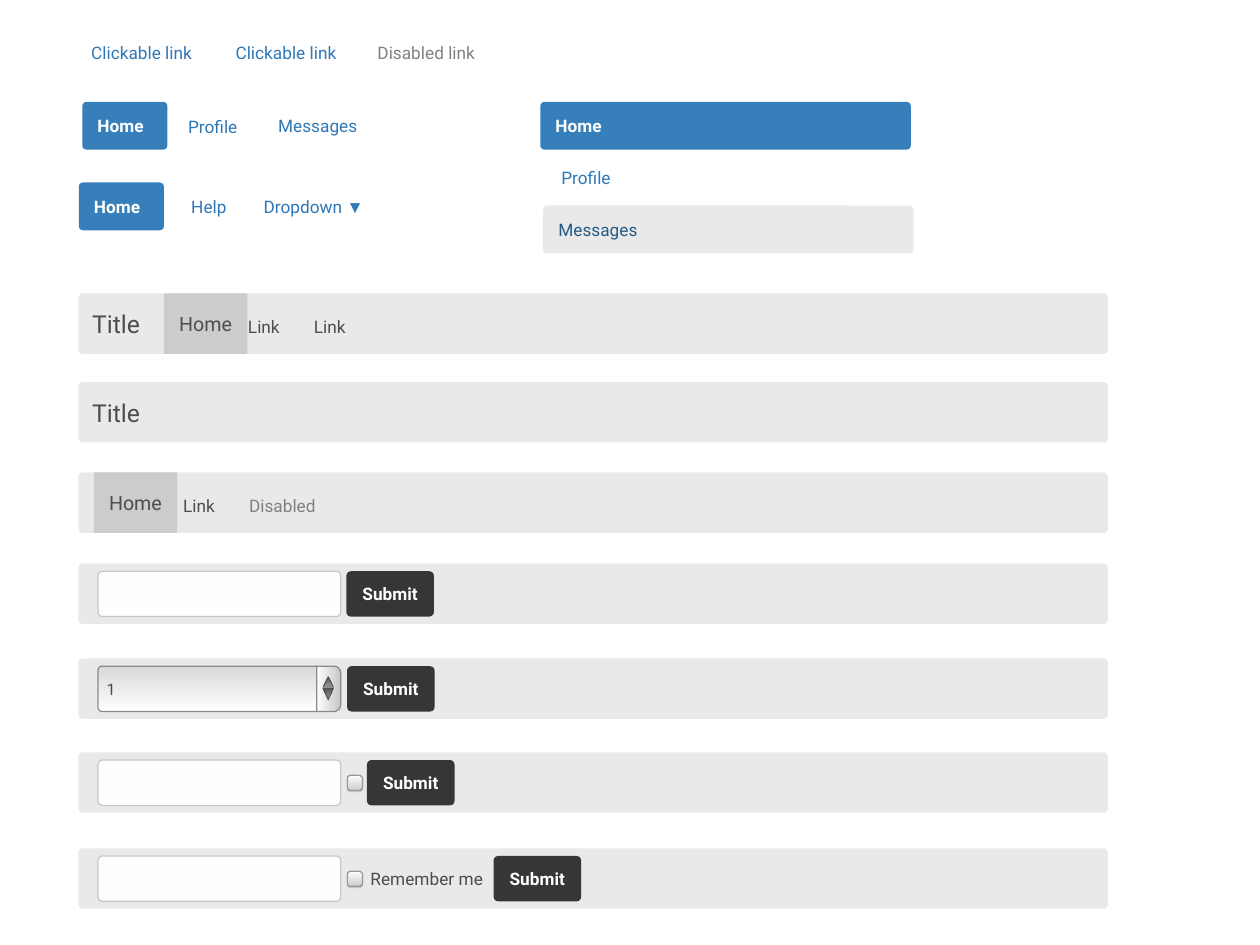
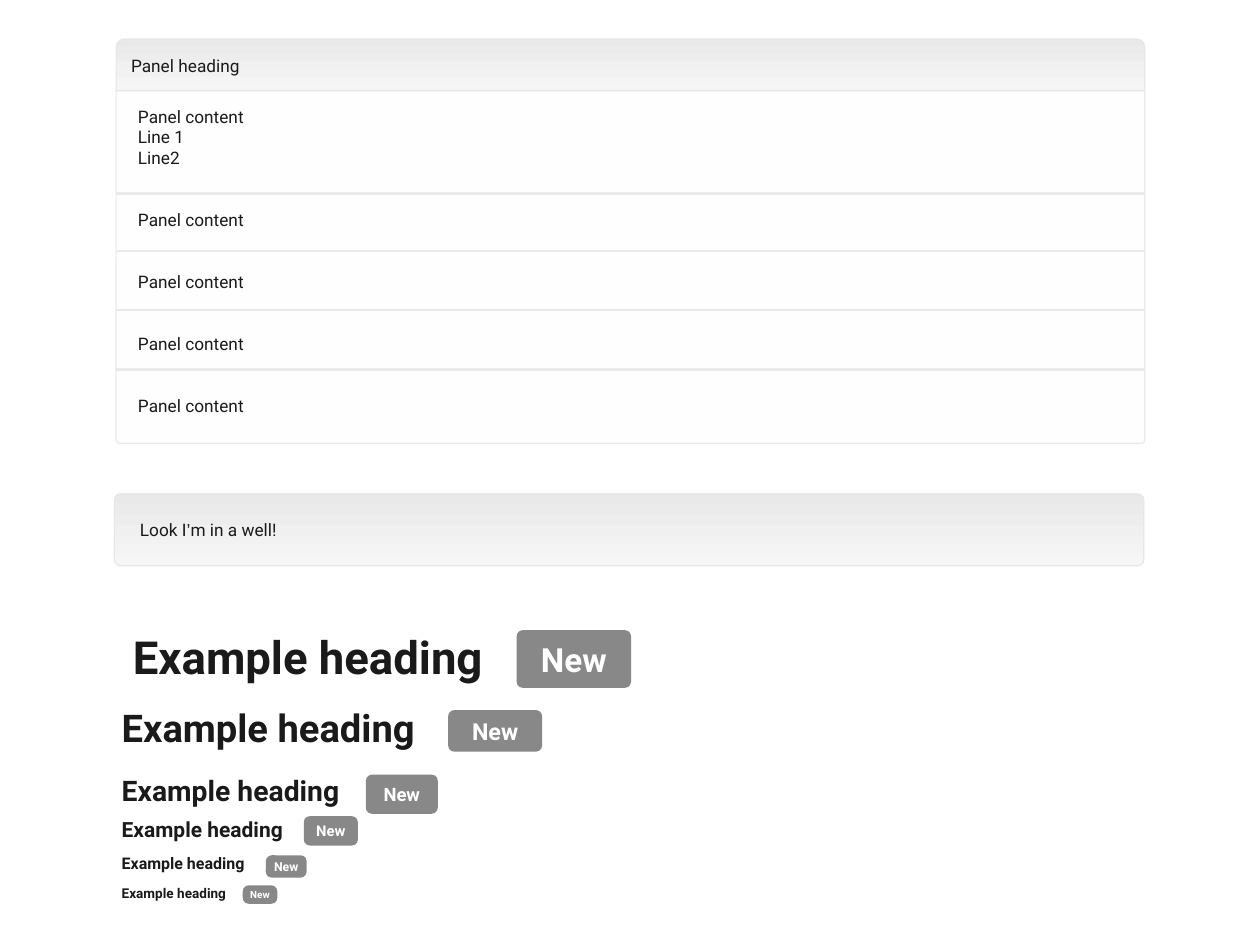
from itertools import groupby
from math import cos, pi, sin

from lxml import etree
from pptx import Presentation
from pptx.dml.color import RGBColor
from pptx.enum.shapes import MSO_CONNECTOR, MSO_SHAPE
from pptx.enum.text import MSO_ANCHOR, PP_ALIGN
from pptx.oxml.ns import qn
from pptx.util import Cm, Pt

ROUND, RECT = MSO_SHAPE.ROUNDED_RECTANGLE, MSO_SHAPE.RECTANGLE
TAB, ARROW = MSO_SHAPE.ROUND_2_SAME_RECTANGLE, MSO_SHAPE.ISOSCELES_TRIANGLE
LINE = MSO_CONNECTOR.STRAIGHT
LEFT, MID = PP_ALIGN.LEFT, PP_ALIGN.CENTER
TOP, CENTER = MSO_ANCHOR.TOP, MSO_ANCHOR.MIDDLE

WIDE, HIGH = 36.12, 27.08
FONT, SIGNS, SIGN_FONT = "Roboto", "▼’", "Arial"
BLUE, LINK, DEEP = "367FBA", "2E78B8", "255B86"
WHITE, PAPER, PALE, ACTIVE = "FFFFFF", "FFFEFE", "E9E9E9", "CCCCCC"
INK, TEXT, DIM, DARK, BADGE = "1A1A1A", "4D4D4D", "808080", "353636", "888888"
SOFT = (PALE, "F6F6F6")

LINKS = [
    ("Clickable link", 4.06, 1.51, LINK),
    ("Clickable link", 8.2, 1.51, LINK),
    ("Disabled link", 12.22, 1.51, DIM),
    ("Profile", 6.1, 3.64, LINK),
    ("Messages", 9.11, 3.59, LINK),
    ("Help", 5.99, 5.93, LINK),
    ("Dropdown ▼", 8.99, 5.91, LINK),
    ("Profile", 16.8, 5.09, LINK),
]
PILLS = [
    ("Home", 2.36, 2.92, 2.44, BLUE, WHITE, True),
    ("Home", 2.26, 5.23, 2.44, BLUE, WHITE, True),
    ("Home", 15.49, 2.92, 10.62, BLUE, WHITE, True),
    ("Messages", 15.57, 5.89, 10.62, PALE, DEEP, False),
]
BAR_X, BAR_W, BAR_H = 2.25, 29.51, 1.73
NAVS = [
    (8.41, "Title", 4.7, [("Link", 7.11, TEXT), ("Link", 9, TEXT)]),
    (10.95, "Title", None, []),
    (13.54, "", 2.69, [("Link", 5.25, TEXT), ("Disabled", 7.14, DIM)]),
]
FORMS = [
    (16.15, "input", False, "", 9.93),
    (18.87, "select", False, "", 9.95),
    (21.56, "input", True, "", 10.52),
    (24.31, "input", True, "Remember me", 14.15),
]
FIELD_X, FIELD_W, FIELD_H, CAP_W = 2.81, 6.96, 1.3, 0.69

PANEL_X, PANEL_W = 3.33, 29.49
ROWS = [("Panel content", 0), ("Line 1", 0), ("Line2", 0)]
ROWS += [("Panel content", 33.6)] * 4
RULES = [5.55, 7.19, 8.89, 10.59]
HEADS = [
    (3.81, 18.8, 37, (14.81, 18.06, 3.28, 1.65), 27),
    (3.49, 20.85, 31, (12.85, 20.35, 2.69, 1.19), 19),
    (3.49, 22.63, 23, (10.49, 22.2, 2.06, 1.12), 15),
    (3.49, 23.75, 17, (8.71, 23.39, 1.55, 0.84), 12),
    (3.49, 24.74, 13, (7.62, 24.51, 1.17, 0.64), 10),
    (3.49, 25.58, 11, (6.96, 25.37, 0.99, 0.53), 8),
]


def color(code):
    return RGBColor.from_string(code)


def paint(shape, fill, line=None, width=1, angle=270):
    shape.shadow.inherit = False
    if isinstance(fill, tuple):
        shape.fill.gradient()
        shape.fill.gradient_angle = angle
        for stop, code in zip(shape.fill.gradient_stops, fill):
            stop.color.rgb = color(code)
    else:
        shape.fill.solid()
        shape.fill.fore_color.rgb = color(fill)
    if line:
        shape.line.color.rgb = color(line)
        shape.line.width = Pt(width)
    else:
        shape.line.fill.background()
    return shape


def put(slide, kind, box, fill, radius=0, **look):
    shape = slide.shapes.add_shape(kind, *map(Cm, box))
    if radius:
        shape.adjustments[0] = radius / min(box[2:])
    return paint(shape, fill, **look)


def shade(shape, code, alpha):
    root = shape.shadow.inherit = False
    root = shape.fill._xPr.find(qn("a:effectLst"))
    drop = etree.SubElement(root, qn("a:outerShdw"), dist="12700", dir="5400000")
    tone = etree.SubElement(drop, qn("a:srgbClr"), val=code)
    etree.SubElement(tone, qn("a:alpha"), val=str(alpha * 1000))


def say(shape, text, size=14, tone=INK, bold=False, align=MID, left=0,
        top=0, anchor=CENTER, gaps=(), wrap=True):
    frame = shape.text_frame
    frame.word_wrap = wrap
    frame.vertical_anchor = anchor
    frame.margin_left, frame.margin_top = Cm(left), Cm(top)
    frame.margin_right = frame.margin_bottom = 0
    for i, words in enumerate(text.split("\n")):
        para = frame.add_paragraph() if i else frame.paragraphs[0]
        para.alignment = align
        if gaps:
            para.space_before = Pt(gaps[i])
        for sign, part in groupby(words, lambda c: c in SIGNS):
            run = para.add_run()
            run.text = "".join(part)
            run.font.name = SIGN_FONT if sign else FONT
            run.font.size = Pt(size)
            run.font.bold = bold
            run.font.color.rgb = color(tone)


def label(slide, text, x, mid, width=3.4, high=1, **form):
    box = slide.shapes.add_textbox(Cm(x), Cm(mid - high / 2), Cm(width), Cm(high))
    say(box, text, **form)


def side(slide, box, radius, right, fill, angle):
    x, y, w, h = box
    dots = []
    for a in range(0, 91, 15):
        t = a * pi / 180
        dots.append((radius * (1 - sin(t)), radius * (1 - cos(t))))
    curve = [(w - dx if right else dx, dy) for dx, dy in dots]
    flat = 0 if right else w
    points = [(flat, 0)] + curve + [(px, h - py) for px, py in reversed(curve)]
    points.append((flat, h))
    spots = [(Cm(x + px), Cm(y + py)) for px, py in points]
    pen = slide.shapes.build_freeform(*spots[0])
    pen.add_line_segments(spots[1:], close=True)
    return paint(pen.convert_to_shape(), fill, line="8A8A8A", angle=angle)


def select(slide, y):
    body = FIELD_W - CAP_W
    cap = FIELD_X + body
    shape = side(slide, (FIELD_X, y, body, FIELD_H), 0.12, False, ("D9D9D9", WHITE), 270)
    say(shape, "1", size=13, tone="484A4A", align=LEFT, left=0.25)
    side(slide, (cap, y, CAP_W, FIELD_H), 0.2, True, ("C6C6C6", WHITE), 180)
    for dy, high, turn, fill in [(0.3, 0.3, 0, ("545554", "979797")),
                                 (0.63, 0.33, 180, ("979797", "545554"))]:
        arrow = put(slide, ARROW, (cap + 0.18, y + dy, 0.3, high), fill,
                    line="444444", width=0.5)
        arrow.rotation = turn
        shade(arrow, "C8C8C8", 75)


def bar(slide, y):
    return put(slide, ROUND, (BAR_X, y, BAR_W, BAR_H), PALE, 0.12)


def menus(slide):
    for text, x, y, tone in LINKS:
        label(slide, text, x - 1.7, y, tone=tone)
    for text, x, y, w, fill, tone, bold in PILLS:
        pill = put(slide, ROUND, (x, y, w, 1.37), fill, 0.12)
        say(pill, text, tone=tone, bold=bold, align=LEFT, left=0.4)
    for y, title, home, links in NAVS:
        strip = bar(slide, y)
        if title:
            say(strip, title, size=20, tone=TEXT, align=LEFT, left=0.36)
        if home:
            tab = put(slide, RECT, (home, y, 2.39, BAR_H), ACTIVE)
            say(tab, "Home", size=16, tone=TEXT)
        for text, x, tone in links:
            label(slide, text, x, y + BAR_H / 2 + 0.08, tone=tone, align=LEFT)


def forms(slide):
    for y, kind, check, note, x in FORMS:
        bar(slide, y)
        top = y + 0.22
        if kind == "select":
            select(slide, top)
        else:
            put(slide, ROUND, (FIELD_X, top, FIELD_W, FIELD_H), PAPER, 0.13, line="C7C7C7")
        if check:
            tick = put(slide, ROUND, (9.96, y + 0.66, 0.43, 0.43),
                       (PAPER, "CECDCD"), 0.09, line="979797")
            shade(tick, "000000", 15)
        if note:
            label(slide, note, 10.62, y + BAR_H / 2, tone=TEXT, align=LEFT)
        button = put(slide, ROUND, (x, top, 2.51, FIELD_H), DARK, 0.13)
        say(button, "Submit", tone=WHITE, bold=True)


def panel(slide):
    body = put(slide, ROUND, (PANEL_X, 2.54, PANEL_W, 10.16), PAPER, 0.09, line="EAEAEA")
    say(body, "\n".join(row for row, gap in ROWS), align=LEFT, left=0.6,
        top=0.47, anchor=TOP, gaps=[gap for row, gap in ROWS])
    for y in RULES:
        rule = slide.shapes.add_connector(
            LINE, Cm(PANEL_X), Cm(y), Cm(PANEL_X + PANEL_W), Cm(y))
        rule.line.color.rgb = color("EAEAEA")
        rule.line.width = Pt(2)
        etree.SubElement(rule.line._ln.getparent(), qn("a:effectLst"))
    head = put(slide, TAB, (PANEL_X, 1.12, PANEL_W, 1.48), SOFT, 0.23, line="E7E7E7")
    say(head, "Panel heading", align=LEFT, left=0.36)
    well = put(slide, ROUND, (3.28, 14.15, BAR_W, 2.06), SOFT, 0.18, line="E7E7E7")
    say(well, "Look I’m in a well!", align=LEFT, left=0.68)


def heads(slide):
    for x, mid, size, box, small in HEADS:
        label(slide, "Example heading", x, mid, width=10.8, high=size * 0.04,
              size=size, bold=True, align=LEFT, wrap=False)
        badge = put(slide, ROUND, box, BADGE, 0.17)
        say(badge, "New", size=small, tone=WHITE, bold=True)


def main():
    deck = Presentation()
    deck.slide_width, deck.slide_height = Cm(WIDE), Cm(HIGH)
    for parts in [(menus, forms), (panel, heads)]:
        slide = deck.slides.add_slide(deck.slide_layouts[6])
        for part in parts:
            part(slide)
    deck.save("out.pptx")


if __name__ == "__main__":
    main()
